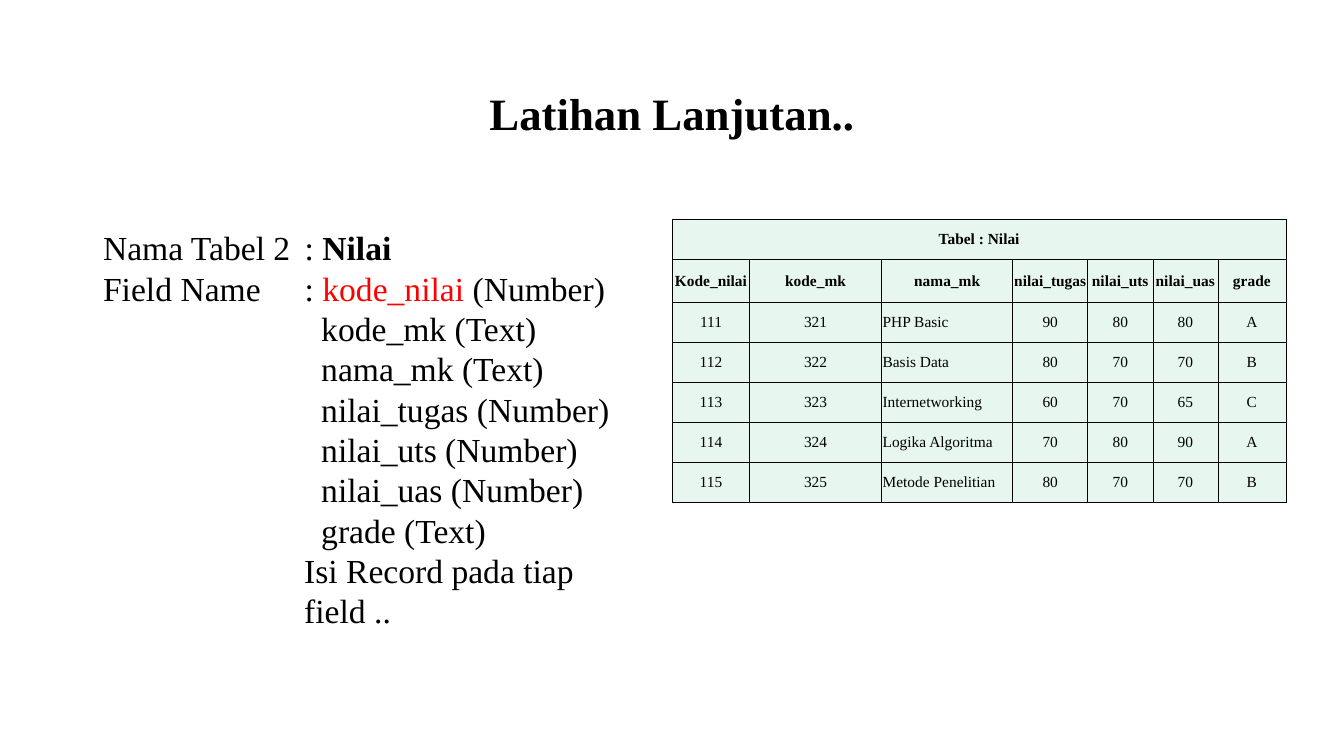
"""Build a slide that describes the Nilai table and lists its records."""
from lxml import etree
from pptx import Presentation
from pptx.dml.color import RGBColor
from pptx.enum.text import MSO_ANCHOR, MSO_AUTO_SIZE, PP_ALIGN
from pptx.oxml.ns import qn
from pptx.util import Pt

TITLE = "Latihan Lanjutan.."
DEFINITION = [
    [("Nama Tabel 2\t: ", {}), ("Nilai", {"bold": True})],
    [("Field Name\t: ", {}), ("kode_nilai ", {"color": "FF0000"}), ("(Number)", {})],
]
FIELDS = [
    "kode_mk (Text)",
    "nama_mk (Text)",
    "nilai_tugas (Number)",
    "nilai_uts (Number)",
    "nilai_uas (Number)",
    "grade (Text)",
]
CLOSING = "Isi Record pada tiap field .."
TABLE_TITLE = "Tabel : Nilai"
HEADERS = ["Kode_nilai", "kode_mk", "nama_mk", "nilai_tugas", "nilai_uts", "nilai_uas", "grade"]
RECORDS = [
    ("111", "321", "PHP Basic", "90", "80", "80", "A"),
    ("112", "322", "Basis Data", "80", "70", "70", "B"),
    ("113", "323", "Internetworking", "60", "70", "65", "C"),
    ("114", "324", "Logika Algoritma", "70", "80", "90", "A"),
    ("115", "325", "Metode Penelitian", "80", "70", "70", "B"),
]

PX = 9080
SLIDE_SIZE = (1343, 755)
TITLE_BOX = (336, 79, 671, 64)
BODY_BOX = (93, 220, 546, 413)
TABLE_POS = (672, 219)
COL_WIDTHS = [77, 132, 131, 75, 65, 65, 68]
ROW_HEIGHTS = [40, 43] + [40] * len(RECORDS)
VALUE_INDENT, FIELD_INDENT = 201, 218
NAME_COL = HEADERS.index("nama_mk")
FONT, BLACK, MINT = "Times New Roman", "000000", "E7F6EF"
LINE_FACTOR = 1.2
BORDER_PT = 0.45
LEFT, CENTER = PP_ALIGN.LEFT, PP_ALIGN.CENTER
TOP, MIDDLE = MSO_ANCHOR.TOP, MSO_ANCHOR.MIDDLE
GROW = MSO_AUTO_SIZE.SHAPE_TO_FIT_TEXT


def px(n):
    return n * PX


def rgb(value):
    return RGBColor.from_string(value)


def add_text(p, text, size=24, bold=False, color=BLACK, align=LEFT):
    p.alignment = align
    r = p.add_run()
    r.text = text
    r.font.name = FONT
    r.font.size = Pt(size)
    r.font.bold = bold
    r.font.color.rgb = rgb(color)


def place(sp, box):
    sp.left, sp.top, sp.width, sp.height = map(px, box)
    tf = sp.text_frame
    tf.word_wrap = True
    tf.auto_size = GROW
    tf.vertical_anchor = TOP
    tf.margin_left = tf.margin_right = px(10)
    tf.margin_top, tf.margin_bottom = px(7), px(5)
    return tf


def set_spacing(p, size):
    p.line_spacing = Pt(size * LINE_FACTOR)
    p.space_before = p.space_after = Pt(0)


def set_indent(p, indent):
    pPr = p._p.get_or_add_pPr()
    pPr.set("marL", str(px(indent)))
    pPr.set("indent", "0")
    etree.SubElement(pPr, qn("a:buNone"))
    tabs = etree.SubElement(pPr, qn("a:tabLst"))
    etree.SubElement(tabs, qn("a:tab"), pos=str(px(VALUE_INDENT)), algn="l")


def add_title(sp):
    p = place(sp, TITLE_BOX).paragraphs[0]
    set_spacing(p, 32)
    add_text(p, TITLE, size=32, bold=True, align=CENTER)


def add_body(sp):
    tf = place(sp, BODY_BOX)
    lines = [(0, runs) for runs in DEFINITION]
    lines += [(FIELD_INDENT, [(field, {})]) for field in FIELDS]
    lines.append((VALUE_INDENT, [(CLOSING, {})]))
    for i, (indent, runs) in enumerate(lines):
        p = tf.add_paragraph() if i else tf.paragraphs[0]
        set_spacing(p, 24)
        set_indent(p, indent)
        for text, style in runs:
            add_text(p, text, **style)


def format_cell(cell):
    cell.margin_left = cell.margin_right = px(1)
    cell.margin_top = cell.margin_bottom = px(5)
    cell.vertical_anchor = MIDDLE
    tcPr = cell._tc.get_or_add_tcPr()
    for side in ("lnL", "lnR", "lnT", "lnB"):
        ln = etree.SubElement(tcPr, qn(f"a:{side}"), w=str(Pt(BORDER_PT)))
        fill = etree.SubElement(ln, qn("a:solidFill"))
        etree.SubElement(fill, qn("a:srgbClr"), val=BLACK)
    cell.fill.solid()
    cell.fill.fore_color.rgb = rgb(MINT)


def add_grades(slide):
    size = (sum(COL_WIDTHS), sum(ROW_HEIGHTS))
    frame = slide.shapes.add_table(len(ROW_HEIGHTS), len(COL_WIDTHS), *map(px, TABLE_POS + size))
    table = frame.table
    for col, width in zip(table.columns, COL_WIDTHS):
        col.width = px(width)
    for row, height in zip(table.rows, ROW_HEIGHTS):
        row.height = px(height)
    for cell in table.iter_cells():
        format_cell(cell)
    table.cell(0, 0).merge(table.cell(0, len(HEADERS) - 1))
    for i, values in enumerate([[TABLE_TITLE], HEADERS, *RECORDS]):
        for j, value in enumerate(values):
            is_head = i < 2
            align = LEFT if j == NAME_COL and not is_head else CENTER
            p = table.cell(i, j).text_frame.paragraphs[0]
            add_text(p, value, size=11, bold=is_head, align=align)


def main():
    prs = Presentation()
    prs.slide_width, prs.slide_height = map(px, SLIDE_SIZE)
    slide = prs.slides.add_slide(prs.slide_layouts[1])
    add_title(slide.shapes.title)
    add_body(slide.placeholders[1])
    add_grades(slide)
    prs.save("out.pptx")


if __name__ == "__main__":
    main()
